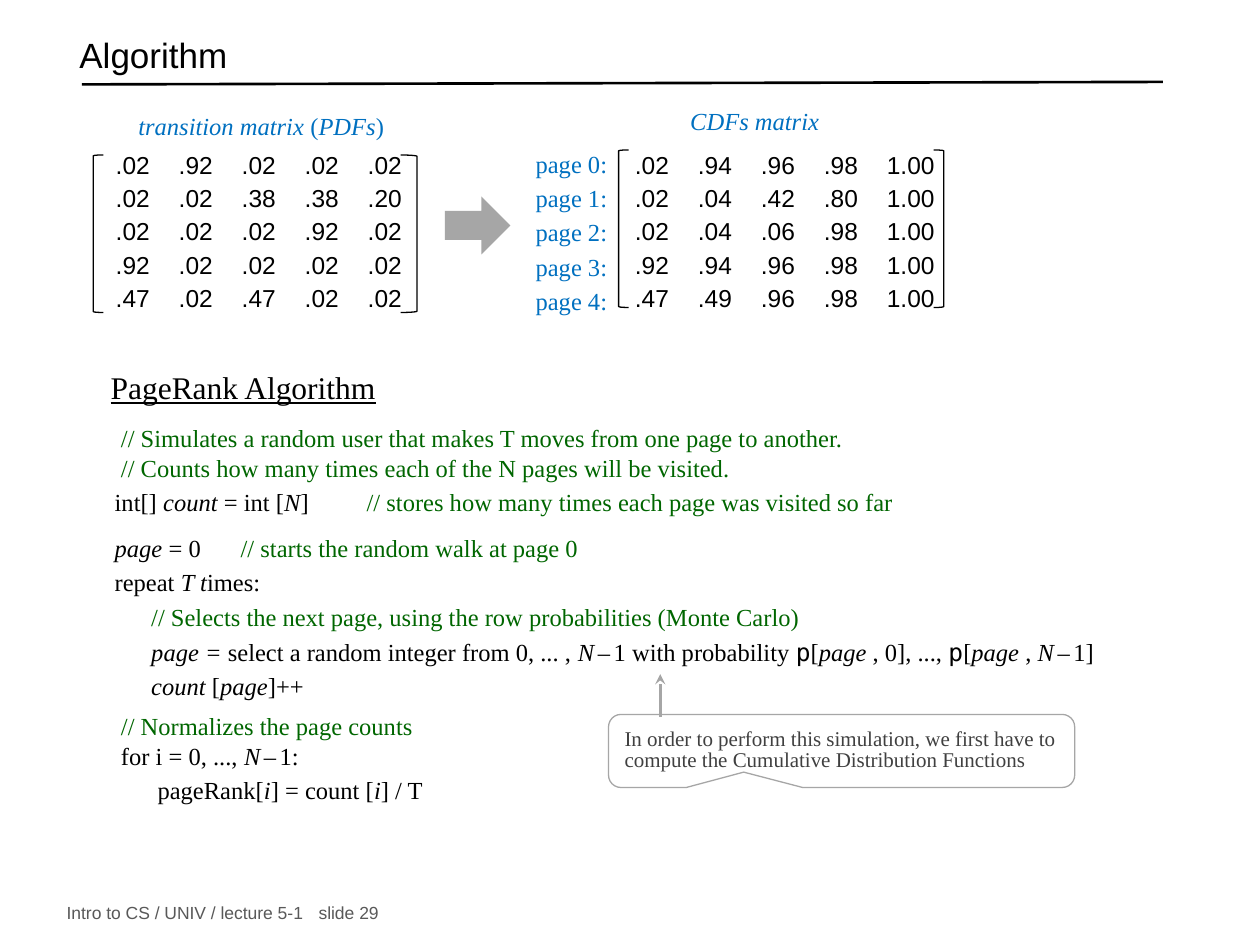
from dataclasses import dataclass
from typing import Optional

import pptx
import pptx.dml.color
import pptx.enum.shapes
import pptx.enum.text
import pptx.oxml.ns
import pptx.util
from lxml import etree

Inches = pptx.util.Inches
Pt = pptx.util.Pt
RGBColor = pptx.dml.color.RGBColor
Shape = pptx.enum.shapes.MSO_SHAPE
Anchor = pptx.enum.text.MSO_ANCHOR
Align = pptx.enum.text.PP_ALIGN
qn = pptx.oxml.ns.qn

BLACK = RGBColor(0x00, 0x00, 0x00)
WHITE = RGBColor(0xFF, 0xFF, 0xFF)
BLUE = RGBColor(0x00, 0x70, 0xC0)
GREEN = RGBColor(0x00, 0x66, 0x00)
GRAY = RGBColor(0xA6, 0xA6, 0xA6)
FOOTER_GRAY = RGBColor(0x59, 0x59, 0x59)
NOTE_GRAY = RGBColor(0x40, 0x40, 0x40)
SANS, SERIF, MONO = "Arial", "Times New Roman", "DejaVu Sans Mono"


@dataclass(frozen=True)
class Run:
    text: str
    italic: bool = False
    color: RGBColor = BLACK
    size: float = 14
    font: str = SERIF
    underline: bool = False


@dataclass(frozen=True)
class Line:
    runs: tuple[Run, ...]
    indent: float = 0
    before: float = 0
    spacing: Optional[object] = None
    align: Align = Align.LEFT
    tabs: tuple[float, ...] = ()


@dataclass(frozen=True)
class Matrix:
    left: float
    top: float
    bracket_top: float
    left_bracket: tuple[float, float]   # left, width
    right_bracket: tuple[float, float]
    rows: tuple[str, ...]


def write(shape, lines, insets=(0.1, 0.05, 0.1, 0.05), anchor=Anchor.TOP, wrap=True) -> None:
    frame = shape.text_frame
    frame.auto_size = pptx.enum.text.MSO_AUTO_SIZE.NONE
    frame.word_wrap = wrap
    frame.vertical_anchor = anchor
    (frame.margin_left, frame.margin_top,
     frame.margin_right, frame.margin_bottom) = map(Inches, insets)
    for index, line in enumerate(lines):
        paragraph = frame.paragraphs[0] if index == 0 else frame.add_paragraph()
        paragraph.alignment = line.align
        paragraph.space_before = Pt(line.before)
        if line.spacing:
            paragraph.line_spacing = line.spacing
        properties = paragraph._p.get_or_add_pPr()
        properties.set("marL", str(Inches(line.indent)))
        properties.set("indent", "0")
        etree.SubElement(properties, qn("a:buNone"))
        if line.tabs:
            tab_list = etree.SubElement(properties, qn("a:tabLst"))
            for position in line.tabs:
                etree.SubElement(tab_list, qn("a:tab"), pos=str(Inches(position)), algn="l")
        for item in line.runs:
            run = paragraph.add_run()
            run.text = item.text
            run.font.name = item.font
            run.font.size = Pt(item.size)
            run.font.italic = item.italic
            run.font.underline = item.underline
            run.font.color.rgb = item.color


def place(shape, left: float, top: float, width: float, height: float) -> None:
    shape.left, shape.top, shape.width, shape.height = map(Inches, (left, top, width, height))


def add_text(slide, box, lines, **options) -> None:
    write(slide.shapes.add_textbox(*map(Inches, box)), lines, **options)


def add_preset(slide, preset, box, fill=None, outline=None):
    shape = slide.shapes.add_shape(preset, *map(Inches, box))
    shape.shadow.inherit = False
    if fill is None:
        shape.fill.background()
    else:
        shape.fill.solid()
        shape.fill.fore_color.rgb = fill
    if outline is None:
        shape.line.fill.background()
    else:
        shape.line.color.rgb = outline
        shape.line.width = Pt(0.75)
    return shape


def add_line(slide, start, end, color: RGBColor, arrow: bool = False) -> None:
    connector = slide.shapes.add_connector(
        pptx.enum.shapes.MSO_CONNECTOR.STRAIGHT, *map(Inches, start + end))
    connector.line.color.rgb = color
    connector.line.width = Pt(1.5)
    if arrow:
        etree.SubElement(connector.line._get_or_add_ln(), qn("a:tailEnd"), type="stealth")
    etree.SubElement(connector._element.spPr, qn("a:effectLst"))


def add_matrix(slide, matrix: Matrix) -> None:
    tabs = tuple(0.486 * column for column in range(1, 5))
    lines = [Line((Run("\t".join(row.split()), font=SANS),), spacing=Pt(19), tabs=tabs)
             for row in matrix.rows]
    add_text(slide, (matrix.left, matrix.top, 2.59, 1.54), lines)
    for (left, width), rotation in ((matrix.left_bracket, 0), (matrix.right_bracket, 180)):
        bracket = add_preset(slide, Shape.LEFT_BRACKET,
                             (left, matrix.bracket_top, width, 1.25), outline=BLACK)
        bracket.rotation = rotation


def italic(text: str) -> Run:
    return Run(text, italic=True)


def comment(text: str) -> Run:
    return Run(text, color=GREEN)


THIN_SPACE = Run(" ", size=8)
N_MINUS = (italic("N"), THIN_SPACE, Run("–"), THIN_SPACE)
PROBABILITY = (Run("p", font=MONO), Run("["), italic("page "))
COMMENT_TAB = (2.11,)
OUTER, INNER, LOOP_BODY = 0.05, 0.29, 0.34

CODE = (
    Line((comment("// Simulates a random user that makes T moves from one page to another."),), OUTER),
    Line((comment("// Counts how many times each of the N pages will be visited."),), OUTER),
    Line((Run("int[] "), italic("count"), Run(" = int ["), italic("N"), Run("]\t"),
          comment("// stores how many times each page was visited so far")),
         before=3, tabs=COMMENT_TAB),
    Line((italic("page"), Run(" = 0\t"), comment("// starts the random walk at page 0")),
         before=9, tabs=COMMENT_TAB),
    Line((Run("repeat "), italic("T t"), Run("imes:")), before=3),
    Line((comment("// Selects the next page, using the row probabilities (Monte Carlo)"),), INNER, 3),
    Line((italic("page = "), Run("select a random integer from 0, ... , "), *N_MINUS,
          Run("1 with probability "), *PROBABILITY, Run(", 0], ..., "),
          *PROBABILITY, Run(", "), *N_MINUS, Run("1]")), INNER, 3),
    Line((italic("count "), Run("["), italic("page"), Run("]++")), INNER, 3),
    Line((comment("// Normalizes the page counts"),), OUTER, 6),
    Line((Run("for i = 0, ..., "), *N_MINUS, Run("1:")), OUTER),
    Line((Run("pageRank["), italic("i"), Run("] = count ["), italic("i"), Run("] / T")), LOOP_BODY, 3),
)

TRANSITIONS = Matrix(0.82, 1.11, 1.23, (0.74, 0.08), (3.18, 0.13), (
    ".02 .92 .02 .02 .02", ".02 .02 .38 .38 .20", ".02 .02 .02 .92 .02",
    ".92 .02 .02 .02 .02", ".47 .02 .47 .02 .02"))
CUMULATIVE = Matrix(4.94, 1.11, 1.19, (4.91, 0.08), (7.41, 0.08), (
    ".02 .94 .96 .98 1.00", ".02 .04 .42 .80 1.00", ".02 .04 .06 .98 1.00",
    ".92 .94 .96 .98 1.00", ".47 .49 .96 .98 1.00"))


def main() -> None:
    presentation = pptx.Presentation()
    presentation.slide_width, presentation.slide_height = Inches(10), Inches(7.5)
    slide = presentation.slides.add_slide(presentation.slide_layouts[1])
    title, body = slide.placeholders

    # Title, rule and footer
    place(title, 0.53, 0.22, 8.6, 0.5)
    write(title, [Line((Run("Algorithm", size=20, font=SANS),), spacing=0.7)], anchor=Anchor.MIDDLE)
    add_line(slide, (0.65, 0.67), (9.23, 0.65), BLACK)
    footer = Run("Intro to CS / UNIV / lecture 5-1\tslide 29", color=FOOTER_GRAY, size=10, font=SANS)
    add_text(slide, (0.43, 7.14, 8.71, 0.21), [Line((footer,), tabs=(8.06,))], anchor=Anchor.MIDDLE)

    # Matrices with their captions and row labels
    add_matrix(slide, TRANSITIONS)
    add_matrix(slide, CUMULATIVE)
    add_text(slide, (1, 0.83, 2.3, 0.58), [Line((
        Run("transition matrix ", True, BLUE), Run("(", color=BLUE),
        Run("PDFs", True, BLUE), Run(")", color=BLUE)))])
    add_text(slide, (4.94, 0.79, 2.1, 0.58),
             [Line((Run("CDFs matrix", True, BLUE),), align=Align.CENTER)])
    add_text(slide, (4.13, 1.13, 0.81, 1.42),
             [Line((Run(f"page {page}:", color=BLUE),), before=2.8, align=Align.CENTER)
              for page in range(5)])
    add_preset(slide, Shape.RIGHT_ARROW, (3.53, 1.56, 0.52, 0.46), fill=GRAY)

    # Pseudocode
    add_text(slide, (0.78, 2.81, 3.46, 0.45),
             [Line((Run("PageRank Algorithm", size=18, underline=True),), before=6, spacing=Pt(26))])
    place(body, 0.74, 3.24, 8.19, 3.28)
    write(body, CODE, insets=(0.17, 0.12, 0, 0.29))

    # Note pointing at the probabilities
    note = add_preset(slide, Shape.ROUNDED_RECTANGULAR_CALLOUT, (4.83, 5.67, 3.7, 0.58), WHITE, GRAY)
    for index, value in enumerate((-0.21, 0.29, 0.17)):
        note.adjustments[index] = value
    write(note, [Line((Run("In order to perform this simulation, we first have to compute the "
                           "Cumulative Distribution Functions", color=NOTE_GRAY, size=12),),
                      before=6, spacing=Pt(12))],
          insets=(0.1, 0.05, 0, 0.05), anchor=Anchor.MIDDLE)
    add_line(slide, (5.24, 5.69), (5.24, 5.35), GRAY, arrow=True)

    presentation.save("out.pptx")


if __name__ == "__main__":
    main()
